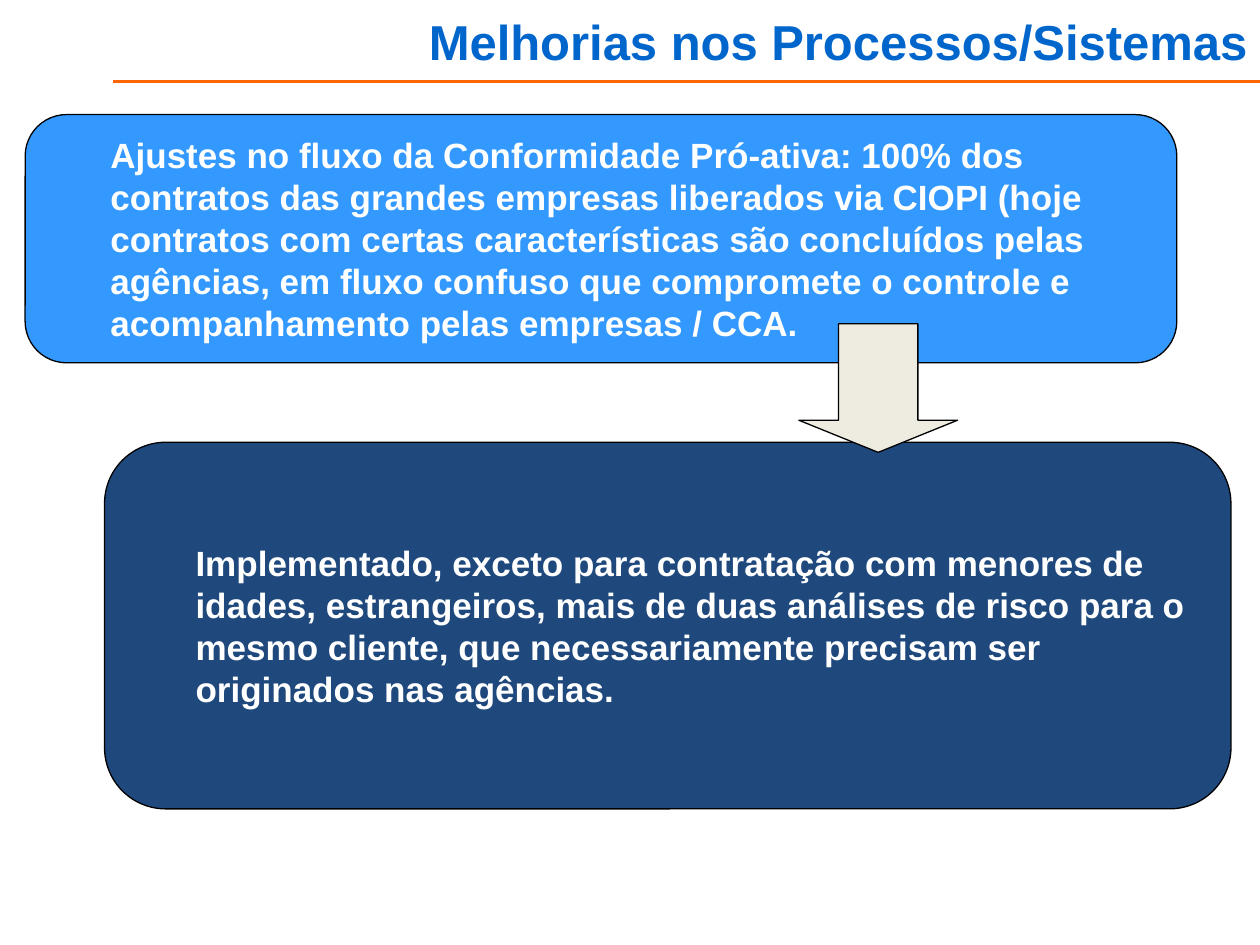
from lxml import etree
from pptx import Presentation
from pptx.dml.color import RGBColor
from pptx.enum.shapes import MSO_CONNECTOR, MSO_SHAPE
from pptx.enum.text import MSO_ANCHOR, PP_ALIGN
from pptx.oxml.ns import qn
from pptx.util import Inches, Pt

REQUEST = (
    "Ajustes no fluxo da Conformidade Pró-ativa: 100% dos contratos das grandes "
    "empresas liberados via CIOPI (hoje contratos com certas características são "
    "concluídos pelas agências, em fluxo confuso que compromete o controle e "
    "acompanhamento pelas empresas / CCA."
)
STATUS = (
    "Implementado, exceto para contratação com menores de idades, estrangeiros, "
    "mais de duas análises de risco para o mesmo cliente, que necessariamente "
    "precisam ser originados nas agências."
)


def rgb(value):
    return RGBColor.from_string(value)


def write_text(sp, text, size=20, color="FFFFFF", align=PP_ALIGN.LEFT,
               anchor=MSO_ANCHOR.MIDDLE, insets=(0.1, 0.05, 0.1, 0.05), indent=0):
    tf = sp.text_frame
    tf.word_wrap = True
    tf.vertical_anchor = anchor
    tf.margin_left, tf.margin_top, tf.margin_right, tf.margin_bottom = map(Inches, insets)
    p = tf.paragraphs[0]
    p.alignment = align
    pPr = p._p.get_or_add_pPr()
    pPr.set("marL", str(Inches(indent)))
    pPr.set("indent", "0")
    r = p.add_run()
    r.text = text
    r.font.name = "Arial"
    r.font.size = Pt(size)
    r.font.bold = True
    r.font.color.rgb = rgb(color)


def add_outlined_shape(s, kind, box, fill, adjustments):
    sp = s.shapes.add_shape(kind, *map(Inches, box))
    sp.shadow.inherit = False
    sp.fill.solid()
    sp.fill.fore_color.rgb = rgb(fill)
    sp.line.color.rgb = rgb("000000")
    sp.line.width = Pt(0.75)
    for i, value in enumerate(adjustments):
        sp.adjustments[i] = value
    return sp


def add_header(s, left, top, width, height):
    title = s.shapes.title
    title.left, title.top = Inches(left), Inches(top)
    title.width, title.height = Inches(width), Inches(height)
    write_text(title, "Melhorias nos Processos/Sistemas", size=28, color="0066CC",
               align=PP_ALIGN.RIGHT, anchor=MSO_ANCHOR.TOP, insets=(0.1, 0.09, 0.1, 0.05))
    y = Inches(top + height + 0.08)
    rule = s.shapes.add_connector(MSO_CONNECTOR.STRAIGHT, Inches(left + width), y,
                                  Inches(left + 0.9), y)
    rule.line.color.rgb = rgb("FF6600")
    rule.line.width = Pt(1.75)
    etree.SubElement(rule._element.spPr, qn("a:effectLst"))


def add_panel(s, box, text, fill):
    sp = add_outlined_shape(s, MSO_SHAPE.ROUNDED_RECTANGLE, box, fill, [0.167])
    write_text(sp, text, insets=(0.49, 0.05, 0.1, 0.05), indent=0.09)


def add_down_arrow(s, box):
    add_outlined_shape(s, MSO_SHAPE.DOWN_ARROW, box, "EEECE1", [0.5, 0.25])


def main():
    prs = Presentation()
    prs.slide_width, prs.slide_height = Inches(10), Inches(7.5)
    s = prs.slides.add_slide(prs.slide_layouts[5])
    add_header(s, 0, 0, 10, 0.57)
    add_panel(s, (0.2, 0.91, 9.14, 1.97), REQUEST, "3399FF")
    add_panel(s, (0.83, 3.51, 8.94, 2.91), STATUS, "1F497D")
    add_down_arrow(s, (6.34, 2.57, 1.26, 1.02))
    prs.save("out.pptx")


if __name__ == "__main__":
    main()
